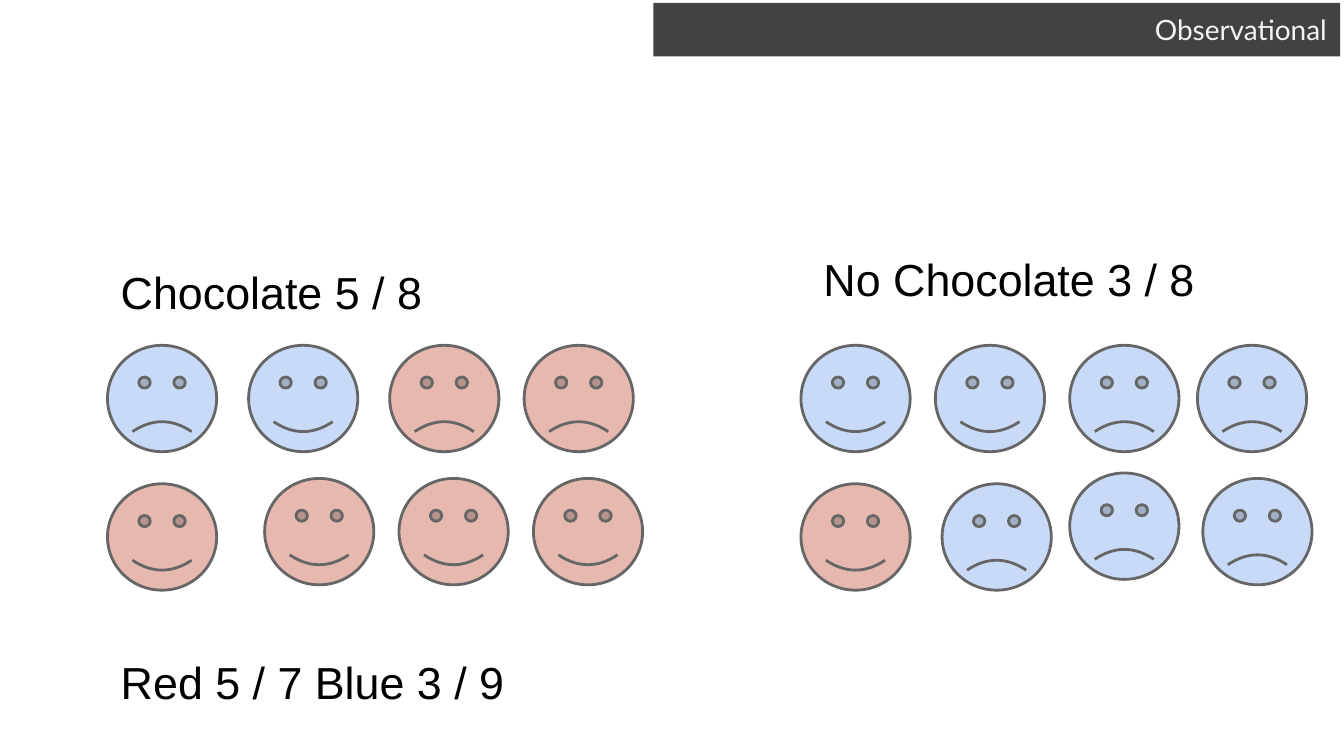
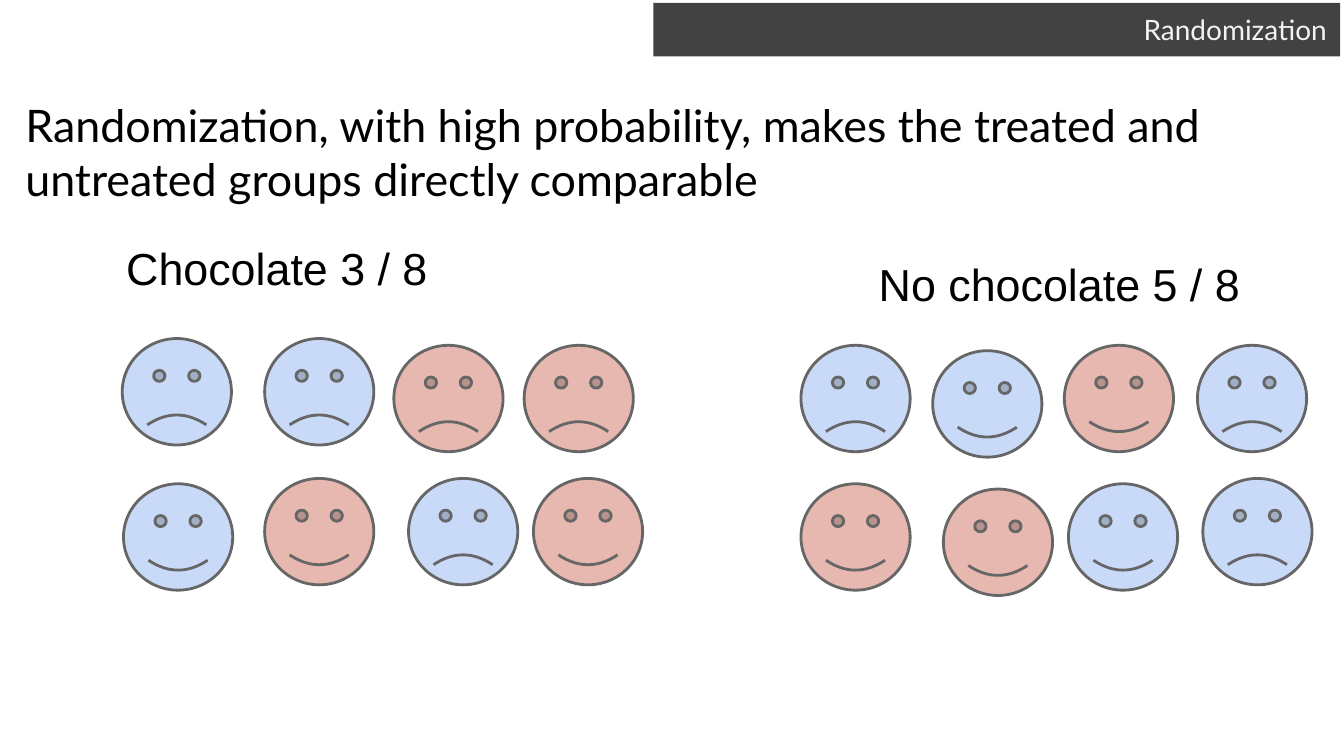
"""Build two slides comparing chocolate groups with and without randomization."""
import pptx
import pptx.dml.color
import pptx.enum.shapes
import pptx.enum.text
import pptx.oxml.ns
import pptx.util
from lxml import etree

Pt = pptx.util.Pt
SHAPES = pptx.enum.shapes.MSO_SHAPE
ALIGN = pptx.enum.text.PP_ALIGN
ANCHOR = pptx.enum.text.MSO_ANCHOR

BLACK, BAND_TEXT, OUTLINE = "000000", "F3F3F3", "666666"
FACE_FILLS = {"blue": "C9DAF8", "red": "E6B8AF"}
SMILES = {"happy": 0.0465, "sad": -0.0465}
FACE_WIDTH, FACE_HEIGHT = 58.5, 57
BAND_BOX = (350, 1.5, 368, 28.8)
LEFT_GROUP, RIGHT_GROUP = (57.6, 185), (429.1, 185)

OBSERVED_CHOCOLATE = [
    (0, 0, "blue", "sad"), (75.6, 0, "blue", "happy"),
    (151.2, 0, "red", "sad"), (223.2, 0, "red", "sad"),
    (0, 74.2, "red", "happy"), (84.2, 71.3, "red", "happy"),
    (156.2, 71.3, "red", "happy"), (228.2, 71.3, "red", "happy"),
]
OBSERVED_NO_CHOCOLATE = [
    (0, 0, "blue", "happy"), (72, 0, "blue", "happy"),
    (144, 0, "blue", "sad"), (212.4, 0, "blue", "sad"),
    (0, 74.2, "red", "happy"), (75.6, 74.2, "blue", "sad"),
    (144, 68.4, "blue", "sad"), (215.3, 71.3, "blue", "sad"),
]
RANDOM_CHOCOLATE = [
    (7.9, -3.6, "blue", "sad"), (84.2, -3.6, "blue", "sad"),
    (153.4, 0, "red", "sad"), (223.2, 0, "red", "sad"),
    (8.6, 74.2, "blue", "happy"), (84.2, 71.3, "red", "happy"),
    (161.3, 71.3, "blue", "sad"), (228.2, 71.3, "red", "happy"),
]
RANDOM_NO_CHOCOLATE = [
    (0, 0, "blue", "sad"), (70.6, 2.9, "blue", "happy"),
    (141.1, 0, "red", "happy"), (212.4, 0, "blue", "sad"),
    (0, 74.2, "red", "happy"), (76.3, 77, "red", "happy"),
    (143.3, 74.2, "blue", "happy"), (215.3, 71.3, "blue", "sad"),
]


def color(value):
    """Turn a hex string into a colour."""
    return pptx.dml.color.RGBColor.from_string(value)


def write_text(shape, text, font="Arial", size=24, fill=BLACK,
               align=ALIGN.LEFT, anchor=ANCHOR.TOP):
    """Write one formatted paragraph into a shape."""
    frame = shape.text_frame
    frame.word_wrap = True
    frame.vertical_anchor = anchor
    frame.margin_left = frame.margin_right = Pt(7.2)
    frame.margin_top = frame.margin_bottom = Pt(7.2)
    paragraph = frame.paragraphs[0]
    paragraph.alignment = align
    run = paragraph.add_run()
    run.text = text
    run.font.name = font
    run.font.size = Pt(size)
    run.font.color.rgb = color(fill)


def add_text(slide, box, text, **text_format):
    """Add a text box with formatted text."""
    shape = slide.shapes.add_textbox(*map(Pt, box))
    write_text(shape, text, **text_format)


def add_filled_shape(slide, kind, box, fill):
    """Add a preset shape with a plain fill and no shadow."""
    shape = slide.shapes.add_shape(kind, *map(Pt, box))
    shape.shadow.inherit = False
    shape.fill.solid()
    shape.fill.fore_color.rgb = color(fill)
    return shape


def add_title_band(slide, box, title):
    """Add the translucent band that carries the slide title."""
    band = add_filled_shape(slide, SHAPES.RECTANGLE, box, BLACK)
    band.line.fill.background()
    tag = pptx.oxml.ns.qn("a:srgbClr")
    band_color = next(band.fill._xPr.iter(tag))
    etree.SubElement(band_color, pptx.oxml.ns.qn("a:alpha"), val="74000")
    write_text(band, title, font="Lato", size=15, fill=BAND_TEXT,
               align=ALIGN.RIGHT, anchor=ANCHOR.MIDDLE)


def add_group(slide, origin, heading, heading_box, faces):
    """Add a heading and its faces relative to the group's origin."""
    left, top = origin
    for x, y, fill, mood in faces:
        box = (left + x, top + y, FACE_WIDTH, FACE_HEIGHT)
        face = add_filled_shape(slide, SHAPES.SMILEY_FACE, box, FACE_FILLS[fill])
        face.adjustments[0] = SMILES[mood]
        face.line.color.rgb = color(OUTLINE)
        face.line.width = Pt(1.5)
    x, y, width, height = heading_box
    add_text(slide, (left + x, top + y, width, height), heading)


def add_slide(presentation, title):
    """Add a blank slide with its title band."""
    slide = presentation.slides.add_slide(presentation.slide_layouts[6])
    add_title_band(slide, BAND_BOX, title)
    return slide


def build_observational(presentation):
    """Build the slide with the observed groups."""
    slide = add_slide(presentation, "Observational")
    add_group(slide, LEFT_GROUP, "Chocolate 5 / 8",
              (0, -50.4, 210, 40), OBSERVED_CHOCOLATE)
    add_group(slide, RIGHT_GROUP, "No Chocolate 3 / 8",
              (5, -57.6, 238, 40), OBSERVED_NO_CHOCOLATE)
    add_text(slide, (57.6, 343.4, 262, 40), "Red 5 / 7 Blue 3 / 9")


def build_randomization(presentation):
    """Build the slide with the randomized groups."""
    slide = add_slide(presentation, "Randomization")
    add_text(slide, (6.5, 45.4, 672, 263),
             "Randomization, with high probability, makes the treated and "
             "untreated groups directly comparable", font="Lato")
    add_group(slide, LEFT_GROUP, "Chocolate 3 / 8",
              (2.9, -63.4, 289.5, 51), RANDOM_CHOCOLATE)
    add_group(slide, RIGHT_GROUP, "No chocolate 5 / 8",
              (34.6, -54.7, 210, 40), RANDOM_NO_CHOCOLATE)


def main():
    """Build and save the presentation."""
    presentation = pptx.Presentation()
    presentation.slide_width = Pt(720)
    presentation.slide_height = Pt(405)
    build_observational(presentation)
    build_randomization(presentation)
    presentation.save("out.pptx")


if __name__ == "__main__":
    main()
